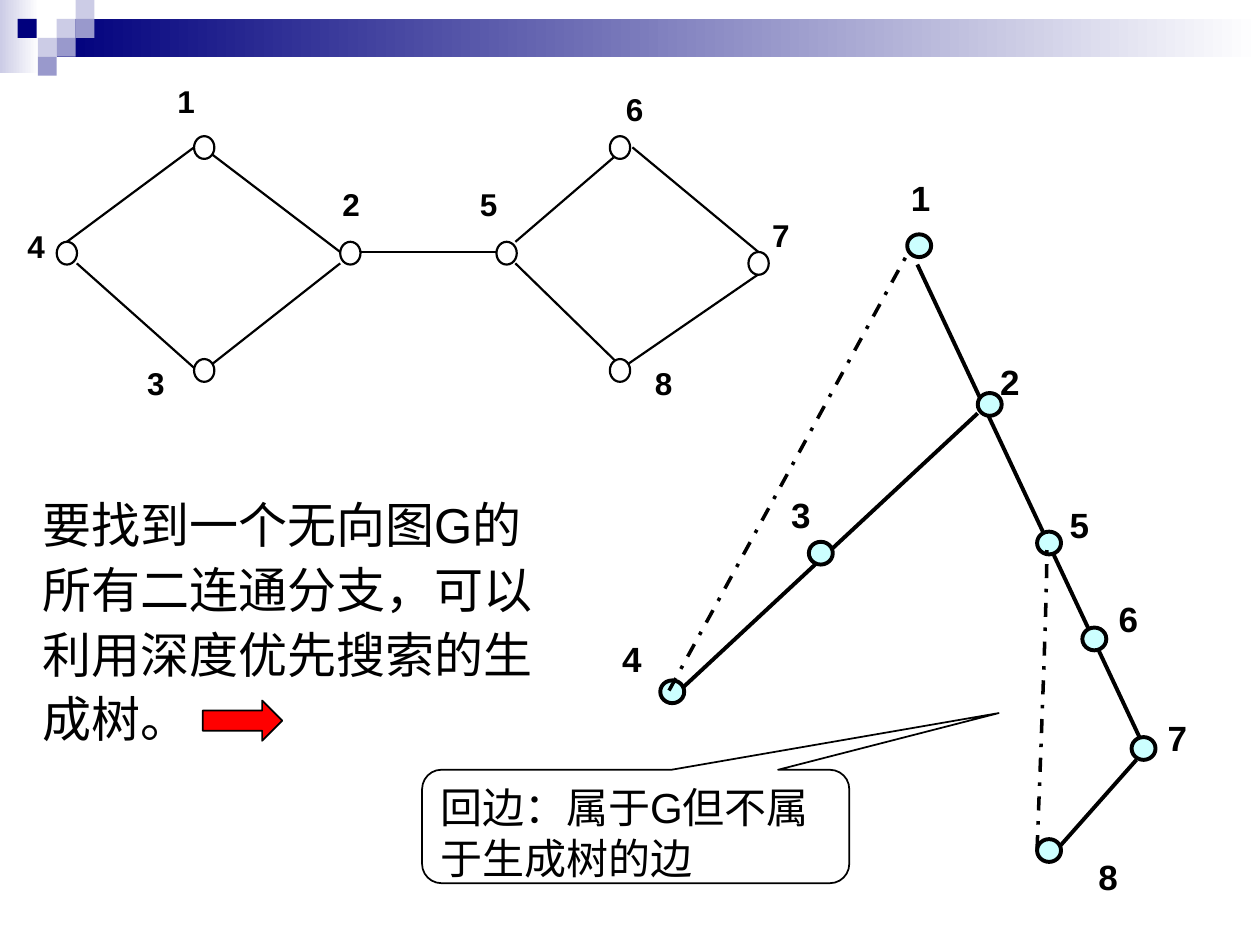
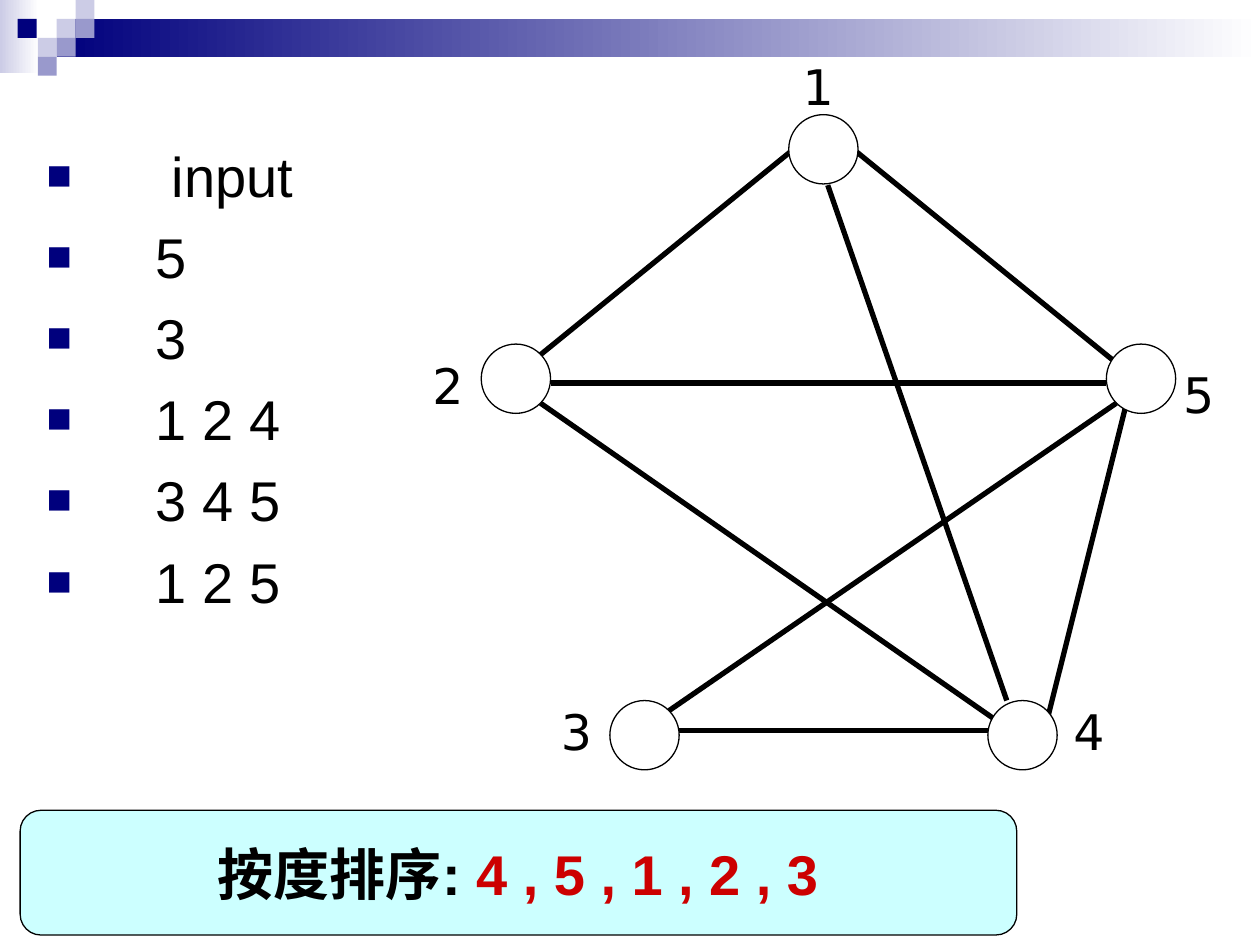
from lxml.etree import SubElement
from pptx import Presentation
from pptx.dml.color import RGBColor
from pptx.enum.dml import MSO_LINE
from pptx.enum.shapes import MSO_CONNECTOR, MSO_SHAPE
from pptx.enum.text import MSO_ANCHOR, PP_ALIGN
from pptx.oxml.ns import qn
from pptx.util import Pt

NAVY = RGBColor(0x00, 0x00, 0x7D)
LAVENDER = RGBColor(0xCC, 0xCC, 0xE6)
PERIWINKLE = RGBColor(0x99, 0x99, 0xCC)
WHITE = RGBColor(0xFF, 0xFF, 0xFF)
BLACK = RGBColor(0x00, 0x00, 0x00)
PALE_CYAN = RGBColor(0xCC, 0xFF, 0xFF)
RED = RGBColor(0xFF, 0x00, 0x00)
DARK_RED = RGBColor(0xCC, 0x00, 0x00)

FONT = "Arial"
DIGIT_FONT = "DejaVu Sans"
LEFT, CENTER, RIGHT = PP_ALIGN.LEFT, PP_ALIGN.CENTER, PP_ALIGN.RIGHT

# Undirected graph: number -> (node left, node top, label left, label top)
GRAPH_NODES = {
    1: (110.9, 77.8, 94.3, 43.2),
    2: (194.4, 138.2, 188.6, 102.2),
    3: (110.9, 205.2, 77, 204.5),
    4: (32.4, 138.2, 8.6, 126),
    5: (283.7, 138.2, 267.1, 102.2),
    6: (348.5, 77.8, 350.6, 48.2),
    7: (427.7, 144, 434.2, 120.2),
    8: (348.5, 205.2, 367.2, 204.5),
}
GRAPH_EDGES = [
    (205.2, 144, 289.4, 144),
    (115.9, 84.2, 194.4, 144),
    (194.4, 150.5, 116.6, 211.7),
    (361.4, 84.2, 433.4, 144),
    (43.9, 150.5, 110.9, 210.2),
    (110.9, 84.2, 38.2, 138.2),
    (350.6, 90, 294.5, 138.2),
    (434.2, 156.2, 355.7, 210.2),
    (294.5, 150.5, 355.7, 210.2),
]

# Depth-first spanning tree, in the same form
TREE_NODES = {
    1: (518.4, 133.9, 513.4, 97.2),
    2: (558.7, 224.6, 564.5, 202.3),
    3: (462.2, 309.6, 445, 278.6),
    4: (377.3, 388.8, 348.5, 360.7),
    5: (592.6, 303.8, 604.1, 284.4),
    6: (618.5, 358.6, 632.2, 337.7),
    7: (646.6, 421.2, 660.2, 406.1),
    8: (592.6, 479.5, 620.6, 485.3),
}
TREE_EDGES = [
    (649.4, 434.2, 604.1, 485.3),
    (558.7, 236.2, 382.3, 400.3),
    (524.2, 151.2, 654.5, 428.4),
]
BACK_EDGES = [
    [(592.6, 485.3), (595.4, 412.6), (598.3, 339.1), (598.3, 309.6)],
    [(382.3, 394.6), (439.2, 290.9), (495.4, 187.2), (518.4, 145.4)],
]

# Input graph, with the label alignment last
INPUT_NODES = {
    1: (450.7, 65.5, 450.7, 31.7, CENTER),
    2: (275, 196.6, 235.4, 202.3, RIGHT),
    3: (348.5, 400.3, 308.9, 400.3, RIGHT),
    4: (564.5, 400.3, 609.1, 400.3, LEFT),
    5: (632.2, 196.6, 671.8, 207.4, LEFT),
}
INPUT_EDGES = [
    (484.6, 82.8, 637.9, 207.4),
    (308.9, 230.4, 569.5, 411.8),
    (314.6, 218.9, 632.2, 218.9),
    (643.7, 230.4, 598.3, 411.8),
    (456.5, 82.8, 303.1, 207.4),
    (637.9, 230.4, 382.3, 406.1),
    (569.5, 417.6, 388.1, 417.6),
    (473, 105.8, 575.3, 400.3),
]
INPUT_LINES = ["input", "5", "3", "1 2 4", "3 4 5", "1 2 5"]


def set_font(paragraph, size, bold=False, name=FONT, color=BLACK):
    font = paragraph.font
    font.name, font.size, font.bold = name, Pt(size), bold
    font.color.rgb = color


def add_box(slide, kind, box, colors, line_width=None):
    """Add a preset shape; one colour gives a solid fill, two a gradient."""
    shape = slide.shapes.add_shape(kind, *map(Pt, box))
    shape.shadow.inherit = False
    if len(colors) == 2:
        shape.fill.gradient()
        shape.fill.gradient_angle = 0
        for stop, color in zip(shape.fill.gradient_stops, colors):
            stop.color.rgb = color
    else:
        shape.fill.solid()
        shape.fill.fore_color.rgb = colors[0]
    if line_width:
        shape.line.color.rgb = BLACK
        shape.line.width = Pt(line_width)
    else:
        shape.line.fill.background()
    return shape


def add_text(slide, box, text, size, bold=False, name=FONT, align=LEFT,
             wrap=True, insets=(7.2, 3.6)):
    frame = slide.shapes.add_textbox(*map(Pt, box)).text_frame
    frame.word_wrap = wrap
    frame.margin_left = frame.margin_right = Pt(insets[0])
    frame.margin_top = frame.margin_bottom = Pt(insets[1])
    paragraph = frame.paragraphs[0]
    paragraph.text = text
    paragraph.alignment = align
    set_font(paragraph, size, bold, name)
    return paragraph


def add_edges(slide, edges, width):
    for edge in edges:
        line = slide.shapes.add_connector(MSO_CONNECTOR.STRAIGHT, *map(Pt, edge))
        line.line.color.rgb = BLACK
        line.line.width = Pt(width)
        SubElement(line._element.spPr, qn("a:effectLst"))


def add_nodes(slide, nodes, node_size, label_size, color, line_width, **label_style):
    for number, (left, top, label_left, label_top, *align) in nodes.items():
        add_box(slide, MSO_SHAPE.OVAL, (left, top, *node_size), [color], line_width)
        add_text(slide, (label_left, label_top, *label_size), str(number),
                 align=align[0] if align else LEFT, **label_style)


def add_back_edge(slide, controls, steps=12):
    """Draw a cubic curve through its control points as a dash-dot outline."""
    def point(t):
        weights = ((1 - t) ** 3, 3 * t * (1 - t) ** 2, 3 * t * t * (1 - t), t ** 3)
        return tuple(Pt(sum(w * c for w, c in zip(weights, axis)))
                     for axis in zip(*controls))

    points = [point(i / steps) for i in range(steps + 1)]
    builder = slide.shapes.build_freeform(*points[0])
    builder.add_line_segments(points[1:], close=False)
    curve = builder.convert_to_shape()
    curve.shadow.inherit = False
    curve.fill.background()
    curve.line.color.rgb = BLACK
    curve.line.width = Pt(2)
    curve.line.dash_style = MSO_LINE.DASH_DOT


def add_bullet(paragraph, indent):
    properties = paragraph._p.get_or_add_pPr()
    properties.set("marL", str(Pt(indent)))
    properties.set("indent", str(-Pt(indent)))
    color = SubElement(properties, qn("a:buClr"))
    SubElement(color, qn("a:srgbClr"), val=str(NAVY))
    SubElement(properties, qn("a:buSzPct"), val="75000")
    SubElement(properties, qn("a:buFont"), typeface=FONT)
    SubElement(properties, qn("a:buChar"), char="■")


def add_header_to_master(prs, slide):
    """Draw the header band and squares, then move them to the master."""
    side = 10.8
    pieces = [
        ((0, 0, 22.3, 41.8), [LAVENDER, WHITE]),
        ((32.4, side, 687.6, 21.6), [NAVY, WHITE]),
        ((10.1, side, side, side), [NAVY]),
    ]
    squares = [(3, 1, LAVENDER), (4, 0, LAVENDER), (4, 1, PERIWINKLE),
               (2, 2, LAVENDER), (3, 2, PERIWINKLE), (2, 3, PERIWINKLE)]
    pieces += [((column * side, row * side, side, side), [color])
               for column, row, color in squares]
    master_tree = prs.slide_master.element.cSld.spTree
    for position, (box, colors) in enumerate(pieces, start=2):
        piece = add_box(slide, MSO_SHAPE.RECTANGLE, box, colors)
        master_tree.insert(position, piece._element)


def build_spanning_tree_slide(slide):
    # Undirected graph
    add_edges(slide, GRAPH_EDGES, 1.25)
    add_nodes(slide, GRAPH_NODES, (11.6, 13), (24.5, 28.8), WHITE, 1.25,
              size=18, bold=True, wrap=False)

    # Explanation
    explanation = add_text(
        slide, (17.3, 275.8, 303.1, 155.5),
        "要找到一个无向图G的所有二连通分支，可以利用深度优先搜索的生成树。", 28)
    explanation.line_spacing = 1.1

    # Spanning tree with its back edges
    add_edges(slide, TREE_EDGES, 2.25)
    add_nodes(slide, TREE_NODES, (13.7, 13), (36, 31.7), PALE_CYAN, 2.25,
              size=20, bold=True)
    for controls in BACK_EDGES:
        add_back_edge(slide, controls)

    # Arrow and callout
    add_box(slide, MSO_SHAPE.RIGHT_ARROW, (115.9, 400.3, 45.4, 23), [RED], 1)
    callout = add_box(slide, MSO_SHAPE.ROUNDED_RECTANGULAR_CALLOUT,
                      (241.2, 439.9, 244.1, 64.8), [WHITE], 1)
    for i, value in enumerate((0.85, -1, 0.17)):
        callout.adjustments[i] = value
    callout.text_frame.vertical_anchor = MSO_ANCHOR.TOP
    note = callout.text_frame.paragraphs[0]
    note.text = "回边：属于G但不属于生成树的边"
    note.alignment = LEFT
    set_font(note, 24)


def build_degree_order_slide(slide):
    # Input graph
    add_edges(slide, INPUT_EDGES, 3)
    add_nodes(slide, INPUT_NODES, (39.6, 39.6), (33.8, 35.3), WHITE, 0.75,
              size=28, name=DIGIT_FONT, insets=(4.3, 0.7))

    # Order by degree
    answer = add_box(slide, MSO_SHAPE.ROUNDED_RECTANGLE,
                     (11.5, 463, 569.5, 71.3), [PALE_CYAN], 0.75)
    answer.text_frame.word_wrap = False
    answer.text_frame.vertical_anchor = MSO_ANCHOR.MIDDLE
    order = answer.text_frame.paragraphs[0]
    order.alignment = CENTER
    set_font(order, 32, bold=True)
    for text, color in (("按度排序:", BLACK), (" 4 , 5 , 1 , 2 , 3", DARK_RED)):
        run = order.add_run()
        run.text = text
        run.font.color.rgb = color

    # Input listing, its heading set in a little further
    title = slide.shapes.title._element
    title.getparent().remove(title)
    listing = slide.placeholders[1]
    listing.left, listing.top, listing.width, listing.height = map(
        Pt, (19.4, 77, 198.7, 277.9))
    listing.text_frame.text = "\n".join(INPUT_LINES)
    for i, paragraph in enumerate(listing.text_frame.paragraphs):
        add_bullet(paragraph, 62.5 if i else 71.5)
        paragraph.space_before = Pt(8 if i else 0)
        set_font(paragraph, 32)


def main():
    prs = Presentation()
    prs.slide_width, prs.slide_height = Pt(720), Pt(540)
    content_layout, blank_layout = prs.slide_layouts[1], prs.slide_layouts[6]
    tree_slide = prs.slides.add_slide(blank_layout)
    add_header_to_master(prs, tree_slide)
    build_spanning_tree_slide(tree_slide)
    build_degree_order_slide(prs.slides.add_slide(content_layout))
    prs.save("out.pptx")


if __name__ == "__main__":
    main()
